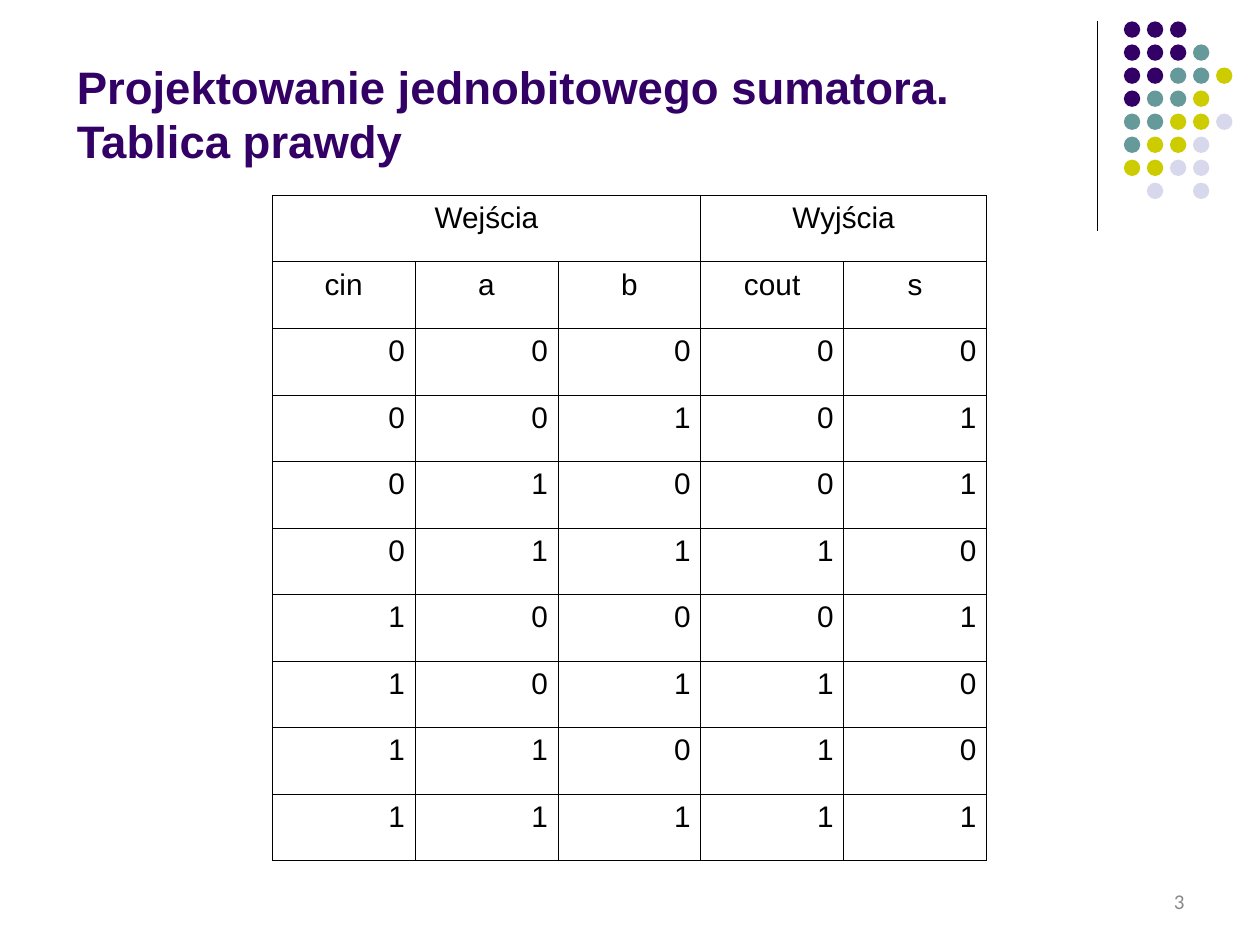
"""Build a slide with the truth table of a one-bit full adder."""
from dataclasses import dataclass
from itertools import product

from lxml import etree
from pptx import Presentation
from pptx.dml.color import RGBColor
from pptx.enum.shapes import MSO_CONNECTOR, MSO_SHAPE
from pptx.enum.text import MSO_ANCHOR, MSO_AUTO_SIZE, PP_ALIGN
from pptx.oxml.ns import qn
from pptx.util import Inches, Pt

LEFT, CENTER, RIGHT = PP_ALIGN.LEFT, PP_ALIGN.CENTER, PP_ALIGN.RIGHT
MIDDLE, TOP = MSO_ANCHOR.MIDDLE, MSO_ANCHOR.TOP
OVAL, STRAIGHT = MSO_SHAPE.OVAL, MSO_CONNECTOR.STRAIGHT
NO_AUTOFIT = MSO_AUTO_SIZE.NONE

PURPLE, BLACK, GREY = "330066", "000000", "898989"
DOT_COLORS = {"p": PURPLE, "t": "669999", "y": "CCCC00", "l": "D8D8EC"}
DOT_ROWS = ["ppp", "pppt", "pptty", "ptty", "ttyyl", "tyyl", "yyll", " l l"]
DOT_LEFT, DOT_TOP, DOT_SIZE = 8.92, 0.17, 0.13
DOT_PITCH = 1.28 / 7

GROUPS = [("Wejścia", 0, 2), ("Wyjścia", 3, 4)]
SIGNALS = ["cin", "a", "b", "cout", "s"]
ADDER_ROWS = [(*bits, sum(bits) // 2, sum(bits) % 2) for bits in product((0, 1), repeat=3)]


@dataclass(frozen=True)
class Dot:
    row: int
    column: int
    color: str


def rgb(color: str) -> RGBColor:
    return RGBColor.from_string(color)


def write(frame, text: str, *, size: float, font: str = "Arial", color: str = BLACK,
          bold: bool = False, align=LEFT) -> None:
    para = frame.paragraphs[0]
    para.alignment = align
    for index, line in enumerate(text.split("\n")):
        if index:
            para.add_line_break()
        span = para.add_run()
        span.text = line
        span.font.name, span.font.size, span.font.bold = font, Pt(size), bold
        span.font.color.rgb = rgb(color)


def place(box, left: float, top: float, width: float, height: float) -> None:
    box.left, box.top = Inches(left), Inches(top)
    box.width, box.height = Inches(width), Inches(height)


def draw_dot(shapes, dot: Dot) -> None:
    circle = shapes.add_shape(OVAL, Inches(DOT_LEFT + dot.column * DOT_PITCH),
                              Inches(DOT_TOP + dot.row * DOT_PITCH),
                              Inches(DOT_SIZE), Inches(DOT_SIZE))
    circle.shadow.inherit = False
    circle.fill.solid()
    circle.fill.fore_color.rgb = rgb(dot.color)
    circle.line.fill.background()


def draw_decoration(page) -> None:
    rule = page.shapes.add_connector(STRAIGHT, Inches(8.71), Inches(0.17),
                                     Inches(8.71), Inches(1.83))
    rule.line.color.rgb, rule.line.width = rgb(BLACK), Pt(0.75)
    etree.SubElement(rule._element.spPr, qn("a:effectLst"))
    group = page.shapes.add_group_shape()
    for row, codes in enumerate(DOT_ROWS):
        for column, code in enumerate(codes):
            if code in DOT_COLORS:
                draw_dot(group.shapes, Dot(row, column, DOT_COLORS[code]))


def format_cell(cell) -> None:
    properties = cell._tc.get_or_add_tcPr()
    for side in ("L", "R", "T", "B"):
        border = etree.SubElement(properties, qn(f"a:ln{side}"), w=str(Pt(0.45)))
        fill = etree.SubElement(border, qn("a:solidFill"))
        etree.SubElement(fill, qn("a:srgbClr"), val=BLACK)
    cell.fill.background()
    cell.vertical_anchor = TOP
    cell.margin_left = cell.margin_right = Inches(0.08)
    cell.margin_top = cell.margin_bottom = Inches(0.05)


def draw_truth_table(page) -> None:
    table = page.shapes.add_table(len(ADDER_ROWS) + 2, len(SIGNALS), Inches(2.16),
                                  Inches(1.55), Inches(5.67), Inches(5.28)).table
    table.first_row = table.horz_banding = False
    for cell in table.iter_cells():
        format_cell(cell)
    for label, first, last in GROUPS:
        table.cell(0, first).merge(table.cell(0, last))
        write(table.cell(0, first).text_frame, label, size=17, align=CENTER)
    for row, values in enumerate([SIGNALS, *ADDER_ROWS], start=1):
        for column, value in enumerate(values):
            write(table.cell(row, column).text_frame, str(value), size=17,
                  align=CENTER if row == 1 else RIGHT)


def main() -> None:
    deck = Presentation()
    deck.slide_width, deck.slide_height = Inches(10), Inches(7.5)
    page = deck.slides.add_slide(deck.slide_layouts[5])
    draw_decoration(page)

    title = page.shapes.title
    place(title, 0.51, 0.28, 9, 1.24)
    title.text_frame.auto_size = NO_AUTOFIT
    title.text_frame.vertical_anchor = MIDDLE
    write(title.text_frame, "Projektowanie jednobitowego sumatora.\nTablica prawdy",
          size=26, color=PURPLE, bold=True)

    draw_truth_table(page)

    number = page.shapes.add_textbox(Inches(7.17), Inches(6.95), Inches(2.33), Inches(0.4))
    number.text_frame.word_wrap = True
    number.text_frame.vertical_anchor = MIDDLE
    write(number.text_frame, "3", size=12, font="Calibri", color=GREY, align=RIGHT)

    deck.save("out.pptx")


if __name__ == "__main__":
    main()
